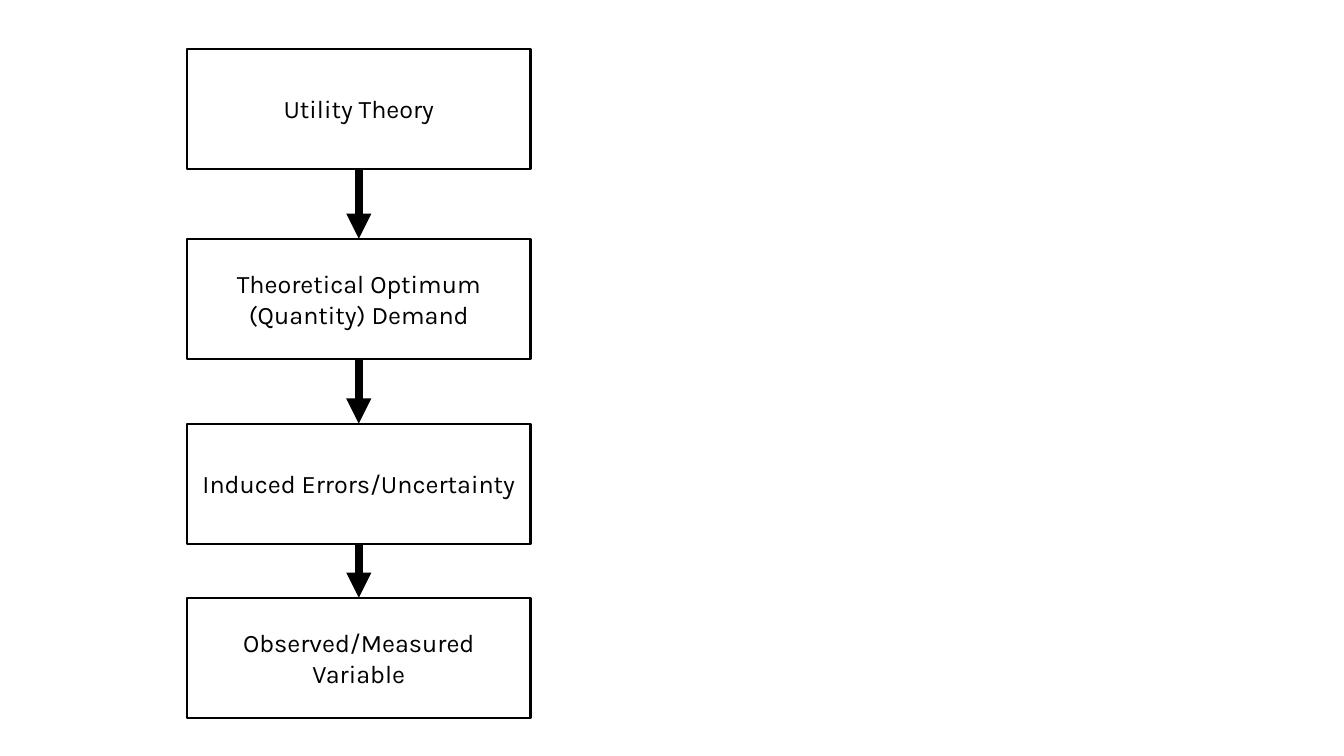
from dataclasses import dataclass

from lxml import etree
from pptx import Presentation
from pptx.dml.color import RGBColor
from pptx.enum.shapes import MSO_CONNECTOR, MSO_SHAPE
from pptx.enum.text import MSO_ANCHOR, PP_ALIGN
from pptx.oxml.ns import qn
from pptx.util import Pt

RECT = MSO_SHAPE.RECTANGLE
STRAIGHT = MSO_CONNECTOR.STRAIGHT
MIDDLE = MSO_ANCHOR.MIDDLE
CENTER = PP_ALIGN.CENTER
TOP_SIDE, BOTTOM_SIDE = 0, 2

# (text, top in points)
STEPS = [
    ("Utility Theory", 34.8),
    ("Theoretical Optimum (Quantity) Demand", 170.6),
    ("Induced Errors/Uncertainty", 302.6),
    ("Observed/Measured Variable", 427),
]
SLIDE_W, SLIDE_H = 960, 540
BOX_LEFT, BOX_W, BOX_H = 133.6, 245.4, 86


@dataclass(frozen=True)
class Theme:
    ink: RGBColor = RGBColor(0, 0, 0)
    font: str = "Karla"
    text_size: float = 18
    box_line: float = 1.5
    arrow_line: float = 6


THEME = Theme()


def write_text(tf, text, size=THEME.text_size, color=THEME.ink, align=CENTER, anchor=MIDDLE):
    tf.word_wrap = True
    tf.vertical_anchor = anchor
    p = tf.paragraphs[0]
    p.alignment = align
    r = p.add_run()
    r.text = text
    r.font.name = THEME.font
    r.font.size = Pt(size)
    r.font.color.rgb = color


def add_step(s, text, top):
    box = s.shapes.add_shape(RECT, Pt(BOX_LEFT), Pt(top), Pt(BOX_W), Pt(BOX_H))
    box.shadow.inherit = False
    box.fill.background()
    box.line.color.rgb = THEME.ink
    box.line.width = Pt(THEME.box_line)
    write_text(box.text_frame, text)
    return box


def add_arrow(s, upper, lower):
    arrow = s.shapes.add_connector(STRAIGHT, 0, 0, 0, 0)
    arrow.begin_connect(upper, BOTTOM_SIDE)
    arrow.end_connect(lower, TOP_SIDE)
    arrow.line.color.rgb = THEME.ink
    arrow.line.width = Pt(THEME.arrow_line)
    sp_pr = arrow.element.spPr
    etree.SubElement(sp_pr.find(qn("a:ln")), qn("a:tailEnd"), type="triangle")
    etree.SubElement(sp_pr, qn("a:effectLst"))


def main():
    prs = Presentation()
    prs.slide_width, prs.slide_height = Pt(SLIDE_W), Pt(SLIDE_H)
    blank = prs.slide_layouts.get_by_name("Blank")
    s = prs.slides.add_slide(blank)
    boxes = [add_step(s, text, top) for text, top in STEPS]
    for upper, lower in zip(boxes, boxes[1:]):
        add_arrow(s, upper, lower)
    prs.save("out.pptx")


if __name__ == "__main__":
    main()
